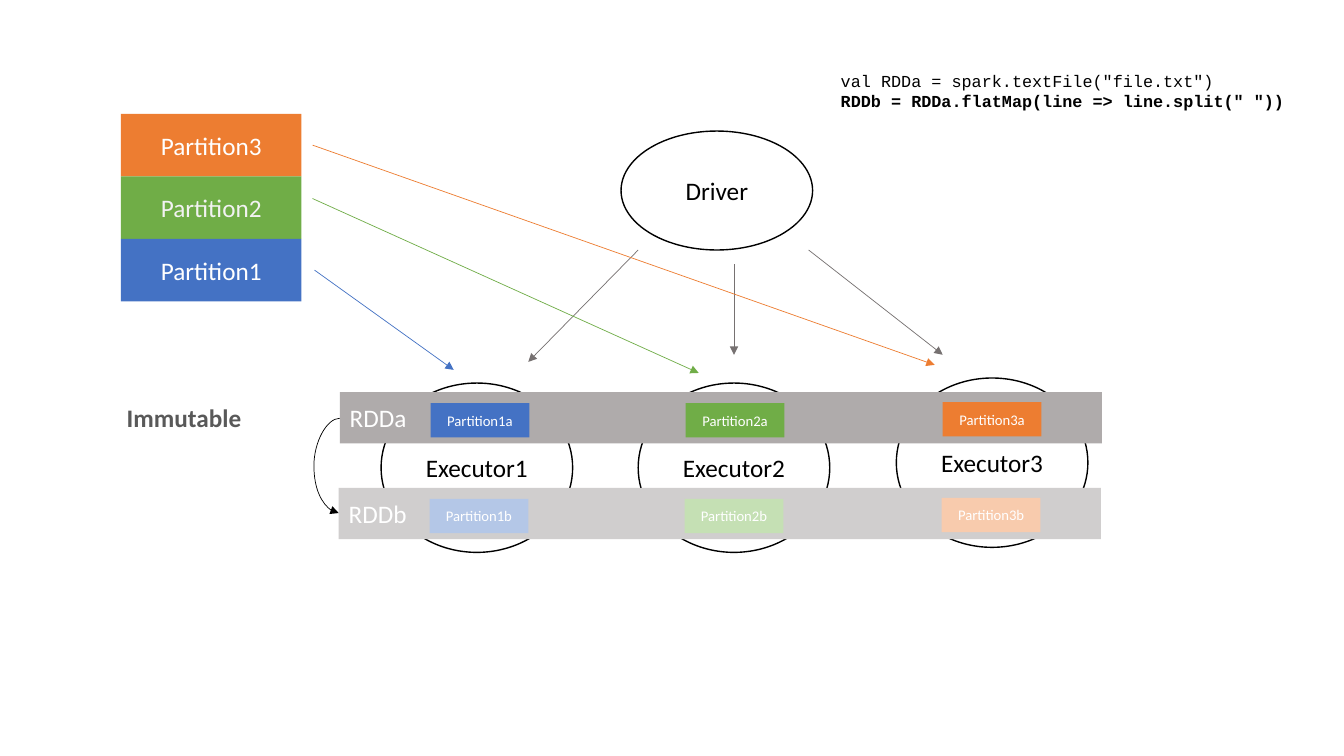
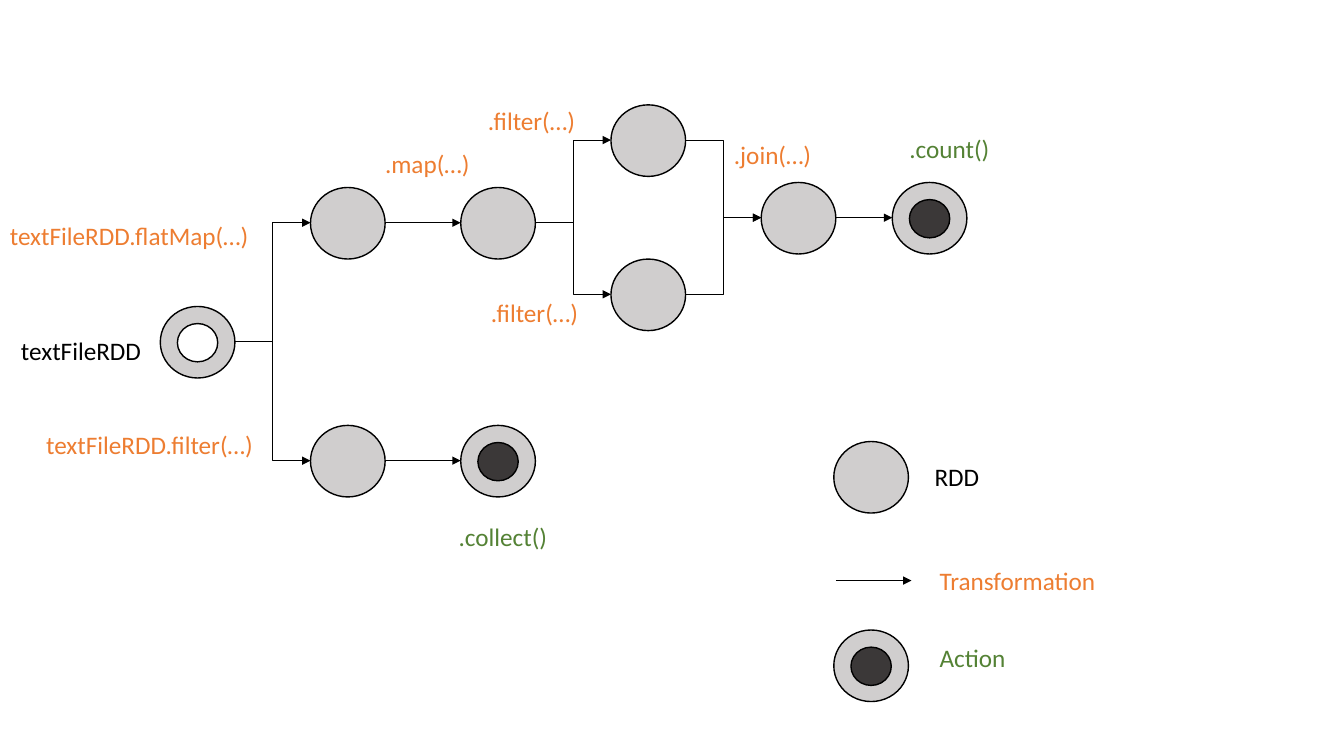
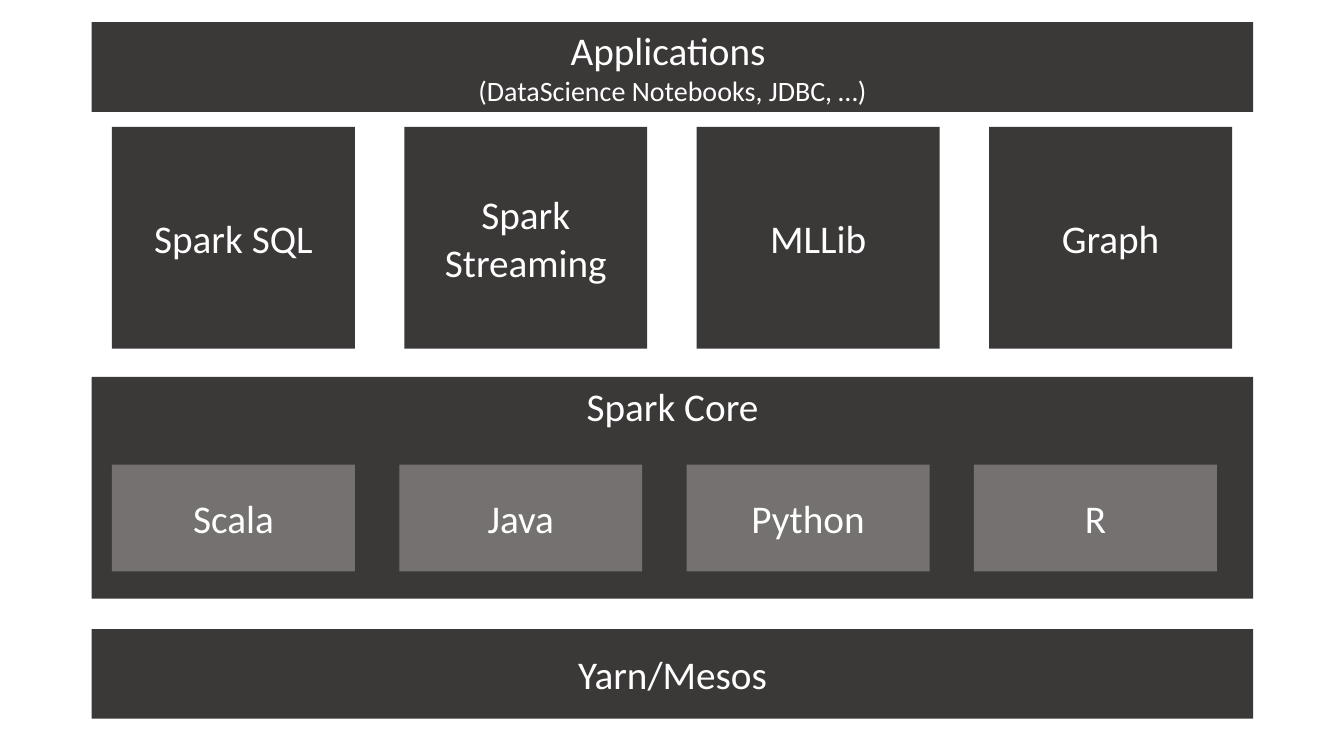
import pptx
import pptx.dml.color
import pptx.enum.shapes
import pptx.enum.text
import pptx.oxml
import pptx.oxml.ns
import pptx.util

PX = 9144  # EMU per px, 100 px to the inch
COLORS = {
    "white": "FFFFFF", "pale": "F2F2F2", "black": "000000", "text": "595959",
    "dark": "3B3838", "gray": "767171", "silver": "AFABAB", "light": "D0CECE",
    "blue": "4472C4", "green": "70AD47", "orange": "ED7D31",
    "light_blue": "B4C7E7", "light_green": "C5E0B4", "light_orange": "F8CBAD",
    "action": "548235",
}
NODE_WIDTH, NODE_HEIGHT = 74, 71
ALIGN = pptx.enum.text.PP_ALIGN
ANCHOR = pptx.enum.text.MSO_ANCHOR
SHAPE = pptx.enum.shapes.MSO_SHAPE
CONNECTOR = pptx.enum.shapes.MSO_CONNECTOR


def color(name):
    return pptx.dml.color.RGBColor.from_string(COLORS[name])


class Deck:
    def __init__(self):
        self.presentation = pptx.Presentation()
        self.presentation.slide_width = 1333 * PX
        self.presentation.slide_height = 750 * PX
        self.slide = None

    def new_slide(self):
        blank_layout = self.presentation.slide_layouts[6]
        self.slide = self.presentation.slides.add_slide(blank_layout)

    def set_text(self, shape, text, size, text_color, align, bold=False, font="Calibri"):
        frame = shape.text_frame
        frame.word_wrap = True
        frame.text = text
        for paragraph in frame.paragraphs:
            paragraph.alignment = align
            paragraph.font.name = font
            paragraph.font.size = pptx.util.Pt(size)
            paragraph.font.bold = bold
            paragraph.font.color.rgb = color(text_color)

    def shape(self, kind, left, top, width, height, fill, text="", size=18,
              text_color="white", align=ALIGN.CENTER, outlined=False):
        shape = self.slide.shapes.add_shape(
            kind, left * PX, top * PX, width * PX, height * PX)
        shape.shadow.inherit = False
        shape.fill.solid()
        shape.fill.fore_color.rgb = color(fill)
        if outlined:
            shape.line.color.rgb = color("black")
            shape.line.width = pptx.util.Pt(1)
        else:
            shape.line.fill.background()
        if text:
            self.set_text(shape, text, size, text_color, align)
        return shape

    def box(self, *place, **style):
        return self.shape(SHAPE.RECTANGLE, *place, **style)

    def ellipse(self, *place, **style):
        return self.shape(SHAPE.OVAL, *place, text_color="black", outlined=True, **style)

    def label(self, left, top, width, text, text_color="black", height=40,
              size=18, align=ALIGN.LEFT, **style):
        text_box = self.slide.shapes.add_textbox(
            left * PX, top * PX, width * PX, height * PX)
        self.set_text(text_box, text, size, text_color, align, **style)
        return text_box

    def arrow(self, start, end, line_color="black", kind=CONNECTOR.STRAIGHT, bend=None):
        connector = self.slide.shapes.add_connector(
            kind, *(length * PX for length in (*start, *end)))
        connector.line.color.rgb = color(line_color)
        connector.line.width = pptx.util.Pt(0.5)
        properties = connector._element.spPr
        line = properties.find(pptx.oxml.ns.qn("a:ln"))
        line.append(pptx.oxml.parse_xml(
            f'<a:tailEnd {pptx.oxml.ns.nsdecls("a")} type="triangle"/>'))
        properties.append(pptx.oxml.parse_xml(
            f'<a:effectLst {pptx.oxml.ns.nsdecls("a")}/>'))
        if bend is not None:
            guides = properties.find(".//" + pptx.oxml.ns.qn("a:avLst"))
            guides.append(pptx.oxml.parse_xml(
                f'<a:gd {pptx.oxml.ns.nsdecls("a")} name="adj1" fmla="val {bend * 100000}"/>'))

    def node(self, left, top, core=None):
        """Draw a graph node, with an inner disc if core names a colour."""
        self.ellipse(left, top, NODE_WIDTH, NODE_HEIGHT, fill="light")
        if core:
            self.ellipse(left + 17, top + 17, 40, 38, fill=core)
        return left, top

    def link(self, source, target):
        """Join the right side of one node to the left side of another."""
        middle = NODE_HEIGHT // 2
        start = (source[0] + NODE_WIDTH, source[1] + middle)
        end = (target[0], target[1] + middle)
        kind = CONNECTOR.STRAIGHT if start[1] == end[1] else CONNECTOR.ELBOW
        self.arrow(start, end, kind=kind)


def partitions_slide(deck):
    deck.new_slide()

    # File partitions
    for index, (fill, text_color) in enumerate(
            [("orange", "white"), ("green", "pale"), ("blue", "white")]):
        deck.box(120, 113 + 62 * index, 179, 62, fill=fill,
                 text=f"Partition{3 - index}", text_color=text_color)

    # Driver and executors
    deck.ellipse(616, 130, 190, 118, fill="white", text="Driver")
    for number, left, top in [(1, 378, 380), (2, 633, 380), (3, 889, 375)]:
        deck.ellipse(left, top, 190, 168, fill="white", text=f"Executor{number}")

    # Data set bands with their partitions
    for letter, left, top, fill, tint in [("a", 337, 389, "silver", ""),
                                          ("b", 336, 484, "light", "light_")]:
        deck.box(left, top, 756, 51, fill=fill, text=f"RDD{letter}", align=ALIGN.LEFT)
        for number, hue, across, down in [(1, "blue", 90, 11), (2, "green", 343, 11),
                                          (3, "orange", 598, 10)]:
            deck.box(left + across, top + down, 98, 34, fill=tint + hue,
                     text=f"Partition{number}{letter}", size=10.5)

    # Arrows
    for start, end, line_color in [
            ((633, 248), (524, 359), "gray"),
            ((728, 262), (728, 352), "gray"),
            ((802, 248), (935, 352), "gray"),
            ((310, 197), (693, 370), "green"),
            ((312, 268), (450, 367), "blue"),
            ((310, 144), (927, 362), "orange")]:
        deck.arrow(start, end, line_color)
    deck.arrow((337, 415), (336, 509), kind=CONNECTOR.CURVE, bend=26)

    # Code and note
    code = ('val RDDa = spark.textFile("file.txt")\n'
            'RDDb = RDDa.flatMap(line => line.split(" "))')
    code_box = deck.label(824, 65, 489, code, height=50, size=12, font="Courier New")
    code_box.text_frame.paragraphs[1].font.bold = True
    deck.label(93, 394, 179, "Immutable", "text", align=ALIGN.CENTER, bold=True)


def lineage_slide(deck):
    deck.new_slide()

    # Nodes, in columns of equal pitch
    columns = [159 + 149 * index for index in range(5)]
    text_file = deck.node(columns[0], 304, core="white")
    words = deck.node(columns[1], 186)
    lines = deck.node(columns[1], 422)
    pairs = deck.node(columns[2], 186)
    collected = deck.node(columns[2], 422, core="dark")
    upper = deck.node(columns[3], 104)
    lower = deck.node(columns[3], 257)
    joined = deck.node(columns[4], 181)
    counted = deck.node(885, 181, core="dark")

    # Transformations
    for source, target in [(text_file, words), (text_file, lines), (words, pairs),
                           (lines, collected), (pairs, upper), (pairs, lower),
                           (upper, joined), (lower, joined), (joined, counted)]:
        deck.link(source, target)

    # Legend symbols
    deck.node(827, 438)
    deck.arrow((829, 576), (904, 576))
    deck.node(827, 625, core="dark")

    # Labels
    for left, top, width, text, text_color in [
            (917, 453, 161, "RDD", "black"),
            (922, 556, 185, "Transformation", "orange"),
            (922, 632, 161, "Action", "action"),
            (11, 328, 161, "textFileRDD", "black"),
            (36, 421, 247, "textFileRDD.filter(…)", "orange"),
            (0, 214, 258, "textFileRDD.flatMap(…)", "orange"),
            (372, 142, 258, ".map(…)", "orange"),
            (445, 512, 247, ".collect()", "action"),
            (477, 290, 258, ".filter(…)", "orange"),
            (474, 100, 258, ".filter(…)", "orange"),
            (718, 133, 258, ".join(…)", "orange"),
            (892, 127, 258, ".count()", "action")]:
        deck.label(left, top, width, text, text_color)


def stack_slide(deck):
    deck.new_slide()

    # Full-width layers
    layers = [
        deck.box(91, top, 1152, height, fill="dark", text=text, size=28)
        for top, height, text in [
            (22, 89, "Applications \n(DataScience Notebooks, JDBC, …)"),
            (374, 220, "Spark Core"),
            (624, 89, "Yarn/Mesos")]]
    layers[0].text_frame.paragraphs[1].font.size = pptx.util.Pt(20)
    layers[1].text_frame.vertical_anchor = ANCHOR.TOP

    # Rows of libraries and languages
    for top, height, pitch, fill, names in [
            (126, 220, 290, "dark", ["Spark SQL", "Spark Streaming", "MLLib", "Graph"]),
            (461, 106, 285, "gray", ["Scala", "Java", "Python", "R"])]:
        for index, name in enumerate(names):
            deck.box(111 + pitch * index, top, 241, height, fill=fill, text=name, size=28)


def main():
    deck = Deck()
    partitions_slide(deck)
    lineage_slide(deck)
    stack_slide(deck)
    deck.presentation.save("out.pptx")


if __name__ == "__main__":
    main()
